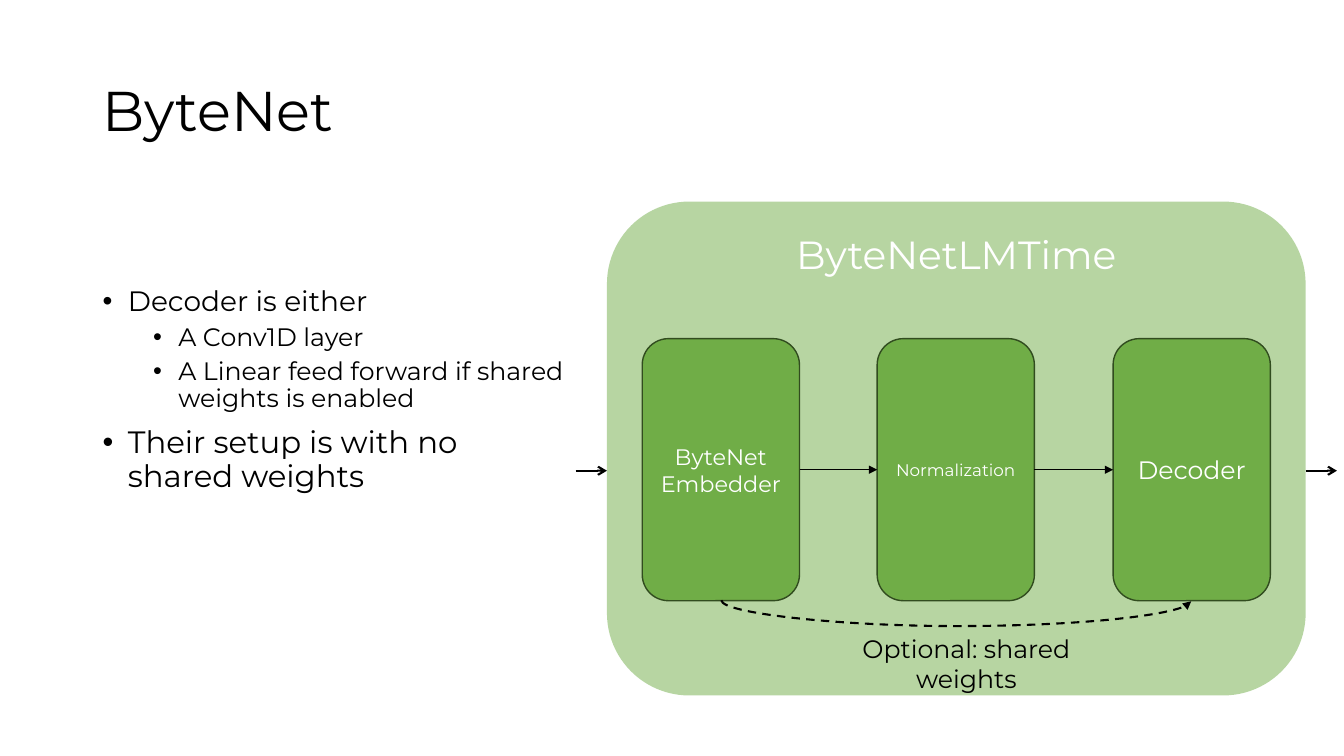
from dataclasses import dataclass

from lxml.etree import SubElement
from pptx import Presentation
from pptx.dml.color import RGBColor
from pptx.enum.dml import MSO_LINE
from pptx.enum.shapes import MSO_CONNECTOR, MSO_SHAPE
from pptx.enum.text import MSO_ANCHOR, PP_ALIGN
from pptx.oxml.ns import qn
from pptx.util import Pt

SCALE = 9144  # EMU per px, 100 px to the inch


@dataclass(frozen=True)
class Theme:
    font: str = "Montserrat"
    black: str = "000000"
    white: str = "FFFFFF"
    green: str = "70AD47"
    edge: str = "314C1F"
    title: int = 40
    head: int = 28
    large: int = 22
    body: int = 20
    note: int = 18
    small: int = 16
    tiny: int = 12


def emu(*sizes):
    return [size * SCALE for size in sizes]


class Deck:
    def __init__(self, theme):
        self.theme = theme
        self.file = Presentation()
        self.file.slide_width, self.file.slide_height = emu(1333, 750)
        self.slide = self.file.slides.add_slide(self.file.slide_layouts[6])

    def add_run(self, par, text, size, color):
        run = par.add_run()
        run.text = text
        run.font.name = self.theme.font
        run.font.size = Pt(size)
        run.font.color.rgb = RGBColor.from_string(color)

    def lines(self, frame, texts, size, color, align):
        for i, text in enumerate(texts):
            par = frame.add_paragraph() if i else frame.paragraphs[0]
            par.alignment = align
            self.add_run(par, text, size, color)

    def block(self, box, texts, size, edge=None, alpha=None, anchor=MSO_ANCHOR.MIDDLE):
        """Add a green rounded box; alpha is its opacity in percent."""
        shape = self.slide.shapes.add_shape(MSO_SHAPE.ROUNDED_RECTANGLE, *emu(*box))
        shape.shadow.inherit = False
        shape.fill.solid()
        shape.fill.fore_color.rgb = RGBColor.from_string(self.theme.green)
        if alpha:
            tint = next(shape._element.spPr.iter(qn("a:srgbClr")))
            SubElement(tint, qn("a:alpha"), val=str(alpha * 1000))
        if edge:
            shape.line.color.rgb = RGBColor.from_string(edge)
            shape.line.width = Pt(1)
        else:
            shape.line.fill.background()
        shape.text_frame.word_wrap = True
        shape.text_frame.vertical_anchor = anchor
        self.lines(shape.text_frame, texts, size, self.theme.white, PP_ALIGN.CENTER)

    def text(self, box, texts, size, align=PP_ALIGN.LEFT, anchor=MSO_ANCHOR.TOP):
        frame = self.slide.shapes.add_textbox(*emu(*box)).text_frame
        frame.word_wrap = True
        frame.vertical_anchor = anchor
        self.lines(frame, texts, size, self.theme.black, align)
        return frame

    def bullets(self, box, items):
        """Add bullets from (level, text, size) items."""
        frame = self.text(box, [], self.theme.body, anchor=MSO_ANCHOR.MIDDLE)
        for i, (level, text, size) in enumerate(items):
            par = frame.add_paragraph() if i else frame.paragraphs[0]
            par.level = level
            par.line_spacing = 0.9
            par.space_before = Pt(5 if level else 10)
            props = par._p.get_or_add_pPr()
            left, hang = emu(25 + 50 * level, -25)
            props.set("marL", str(left))
            props.set("indent", str(hang))
            SubElement(props, qn("a:buFont"), typeface="Arial")
            SubElement(props, qn("a:buChar"), char="•")
            self.add_run(par, text, size, self.theme.black)

    def arrow(self, start, end, width, tip, kind=MSO_CONNECTOR.STRAIGHT):
        link = self.slide.shapes.add_connector(kind, *emu(*start, *end))
        link.line.color.rgb = RGBColor.from_string(self.theme.black)
        link.line.width = Pt(width)
        props = link._element.spPr
        SubElement(props.find(qn("a:ln")), qn("a:tailEnd"), type=tip)
        SubElement(props, qn("a:effectLst"))
        return link

    def arc(self, left, right, top, drop):
        """Add a dashed curve that hangs drop px below two points at top."""
        mid, half = (left + right) // 2, (right - left) // 2
        link = self.arrow((mid, top - half), (mid + 1, top + half), 1.5,
                          "triangle", MSO_CONNECTOR.CURVE)
        link.line.dash_style = MSO_LINE.DASH
        props = link._element.spPr
        frame = props.find(qn("a:xfrm"))
        frame.set("rot", str(270 * 60000))
        frame.set("flipH", "1")
        # The bend is a share of the 1 px width
        guides = next(props.iter(qn("a:avLst")))
        SubElement(guides, qn("a:gd"), name="adj1", fmla=f"val {drop * 100000}")


def main():
    theme = Theme()
    deck = Deck(theme)
    deck.block((602, 200, 693, 490), ["ByteNetLMTime"], theme.head,
               alpha=50, anchor=MSO_ANCHOR.TOP)

    wide, high, top = 156, 260, 336
    stages = [
        (["ByteNet", "Embedder"], theme.small),
        (["Normalization"], theme.tiny),
        (["Decoder"], theme.note),
    ]
    lefts = [637 + i * 467 // 2 for i in range(len(stages))]
    for left, (texts, size) in zip(lefts, stages):
        deck.block((left, top, wide, high), texts, size, edge=theme.edge)

    for left in (571, 1295):
        deck.arrow((left, 467), (left + 31, 467), 1.5, "arrow")
    level = top + high // 2
    for left, right in zip(lefts, lefts[1:]):
        deck.arrow((left + wide, level), (right, level), 1, "triangle")
    deck.arc(lefts[0] + wide // 2, lefts[-1] + wide // 2, top + high, 26)
    deck.text((813, 623, 291, 40), ["Optional: shared weights"], theme.note,
              PP_ALIGN.CENTER)

    title = deck.text((92, 40, 1150, 145), ["ByteNet"], theme.title,
                      anchor=MSO_ANCHOR.MIDDLE)
    title.paragraphs[0].line_spacing = 0.9
    deck.bullets((92, 200, 479, 375), [
        (0, "Decoder is either", theme.body),
        (1, "A Conv1D layer", theme.note),
        (1, "A Linear feed forward if shared weights is enabled", theme.note),
        (0, "Their setup is with no shared weights", theme.large),
    ])
    deck.file.save("out.pptx")


if __name__ == "__main__":
    main()
